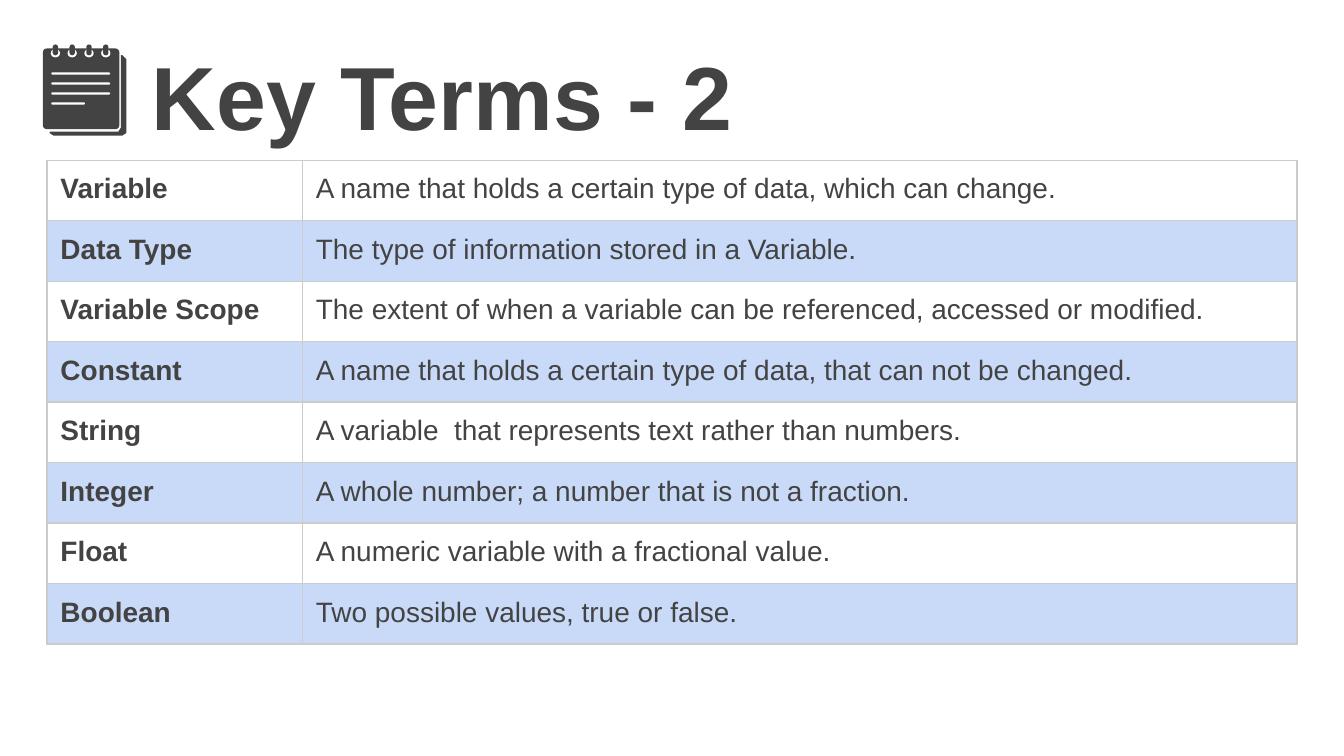
"""Build a key terms slide with a notepad icon and a table of terms."""
from dataclasses import dataclass

from lxml import etree
from pptx import Presentation
from pptx.dml.color import RGBColor
from pptx.enum.shapes import MSO_SHAPE
from pptx.enum.text import MSO_ANCHOR
from pptx.oxml.ns import qn
from pptx.shapes.autoshape import Shape
from pptx.slide import Slide
from pptx.table import _Cell as Cell
from pptx.text.text import TextFrame
from pptx.util import Pt

OVAL = MSO_SHAPE.OVAL
ROUND = MSO_SHAPE.ROUNDED_RECTANGLE
TOP = MSO_ANCHOR.TOP
FONT = "Arial"
COLORS = {"ink": "434343", "paper": "FFFFFF", "band": "C9DAF8", "rule": "CCCCCC"}
PAD = 7.2
ROW = 32.4
COLS = (136.8, 532.8)
EDGES = ("a:lnL", "a:lnR", "a:lnT", "a:lnB")
SHEET = (
    (64.8, 29.5), (64.8, 68.4), (63.4, 70.6), (26.6, 70.6), (26.6, 71.3),
    (28.8, 72.7), (65.5, 72.7), (67.7, 71.3), (67.7, 31.7), (65.5, 29.5),
)


@dataclass(frozen=True)
class Term:
    name: str
    text: str


@dataclass(frozen=True)
class Box:
    left: float
    top: float
    width: float
    height: float


TERMS = (
    Term("Variable", "A name that holds a certain type of data, which can change."),
    Term("Data Type", "The type of information stored in a Variable."),
    Term("Variable Scope", "The extent of when a variable can be referenced, accessed or modified."),
    Term("Constant", "A name that holds a certain type of data, that can not be changed."),
    Term("String", "A variable  that represents text rather than numbers."),
    Term("Integer", "A whole number; a number that is not a fraction."),
    Term("Float", "A numeric variable with a fractional value."),
    Term("Boolean", "Two possible values, true or false."),
)


def tint(shape: Shape, color: str) -> None:
    shape.shadow.inherit = False
    shape.fill.solid()
    shape.fill.fore_color.rgb = RGBColor.from_string(COLORS[color])
    shape.line.fill.background()


def draw_shape(slide: Slide, kind: MSO_SHAPE, box: Box, color: str, curve: float = 0.5) -> None:
    shape = slide.shapes.add_shape(kind, Pt(box.left), Pt(box.top), Pt(box.width), Pt(box.height))
    if kind == ROUND:
        shape.adjustments[0] = curve
    tint(shape, color)


def draw_pad(slide: Slide) -> None:
    points = [(Pt(x), Pt(y)) for x, y in SHEET]
    pen = slide.shapes.build_freeform(*points[0])
    pen.add_line_segments(points[1:], close=True)
    tint(pen.convert_to_shape(), "ink")
    draw_shape(slide, ROUND, Box(23, 26, 41, 43.2), "ink", 0.05)
    for i in range(4):
        mid = 29.7 + 9 * i
        draw_shape(slide, OVAL, Box(mid - 2.5, 26.2, 5, 4.6), "paper")
        draw_shape(slide, ROUND, Box(mid - 1.45, 23.8, 2.9, 5.8), "ink")
        width = 18 if i == 3 else 31.5
        draw_shape(slide, ROUND, Box(27.5, 38.8 + 5.35 * i, width, 1.15), "paper")


def write(frame: TextFrame, text: str, size: float, bold: bool) -> None:
    line = frame.paragraphs[0]
    line.text = text
    line.font.name = FONT
    line.font.size = Pt(size)
    line.font.bold = bold
    line.font.color.rgb = RGBColor.from_string(COLORS["ink"])


def draw_title(slide: Slide, text: str) -> None:
    frame = slide.shapes.add_textbox(Pt(74.2), Pt(10.1), Pt(620.6), Pt(62.6)).text_frame
    frame.word_wrap = True
    frame.vertical_anchor = TOP
    frame.margin_left = frame.margin_right = Pt(PAD)
    frame.margin_top, frame.margin_bottom = Pt(12), Pt(0)
    write(frame, text, 48, True)


def draw_edges(cell: Cell) -> None:
    props = cell._tc.get_or_add_tcPr()
    for edge in EDGES:
        line = etree.SubElement(props, qn(edge), w=str(Pt(0.75)))
        fill = etree.SubElement(line, qn("a:solidFill"))
        etree.SubElement(fill, qn("a:srgbClr"), val=COLORS["rule"])


def fill_cell(cell: Cell, text: str, bold: bool, color: str) -> None:
    cell.margin_left = cell.margin_right = Pt(PAD)
    cell.margin_top = cell.margin_bottom = Pt(PAD)
    cell.vertical_anchor = TOP
    write(cell.text_frame, text, 15, bold)
    draw_edges(cell)
    cell.fill.solid()
    cell.fill.fore_color.rgb = RGBColor.from_string(COLORS[color])


def draw_terms(slide: Slide, terms: tuple[Term, ...]) -> None:
    count = len(terms)
    table = slide.shapes.add_table(
        count, len(COLS), Pt(25.2), Pt(85.8), Pt(sum(COLS)), Pt(ROW * count)
    ).table
    table.first_row = table.horz_banding = False
    for col, width in zip(table.columns, COLS):
        col.width = Pt(width)
    for i, term in enumerate(terms):
        table.rows[i].height = Pt(ROW)
        color = "band" if i % 2 else "paper"
        fill_cell(table.cell(i, 0), term.name, True, color)
        fill_cell(table.cell(i, 1), term.text, False, color)


def main() -> None:
    deck = Presentation()
    deck.slide_width, deck.slide_height = Pt(720), Pt(405)
    slide = deck.slides.add_slide(deck.slide_layouts[6])
    draw_terms(slide, TERMS)
    draw_title(slide, "Key Terms - 2")
    draw_pad(slide)
    deck.save("out.pptx")


if __name__ == "__main__":
    main()
